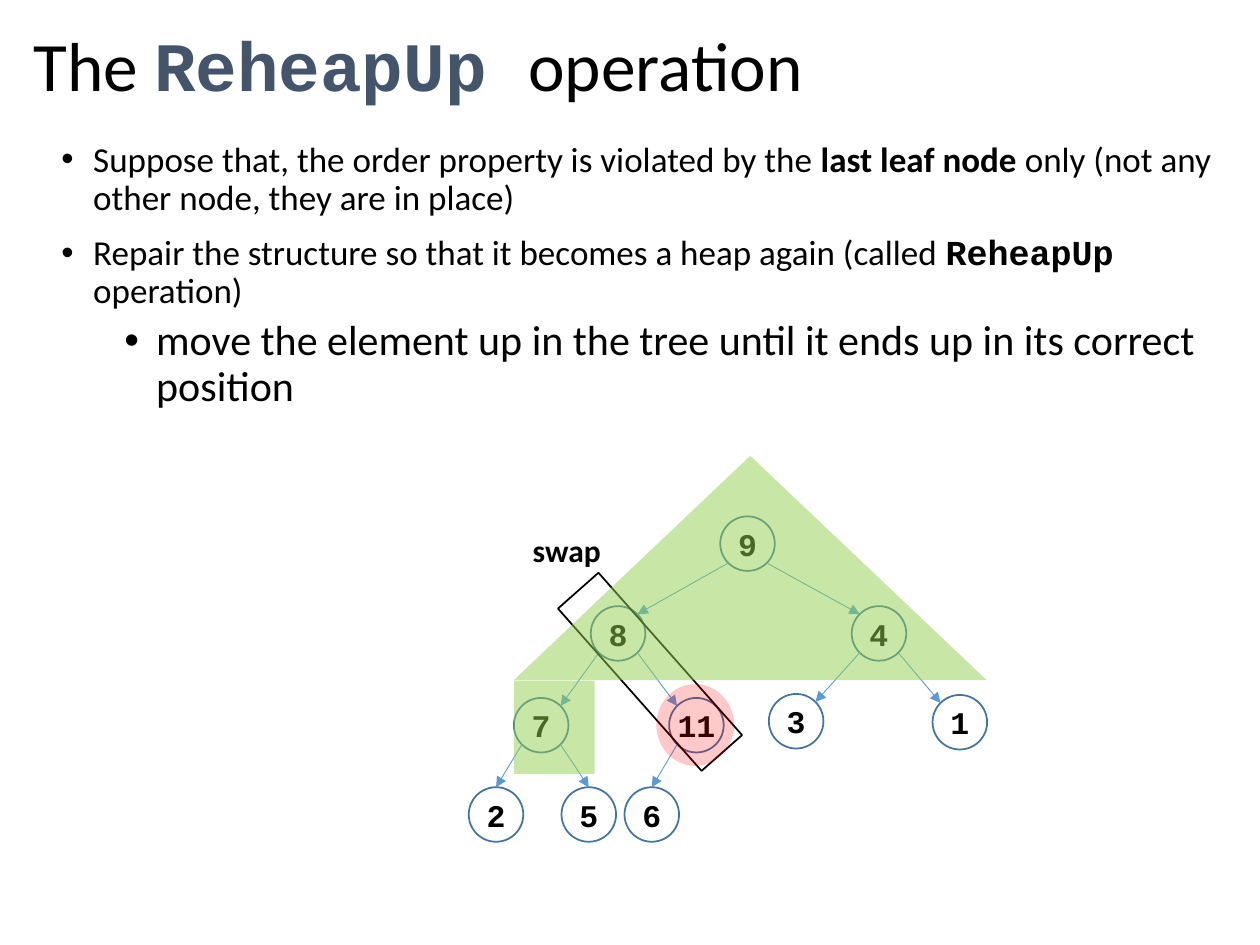
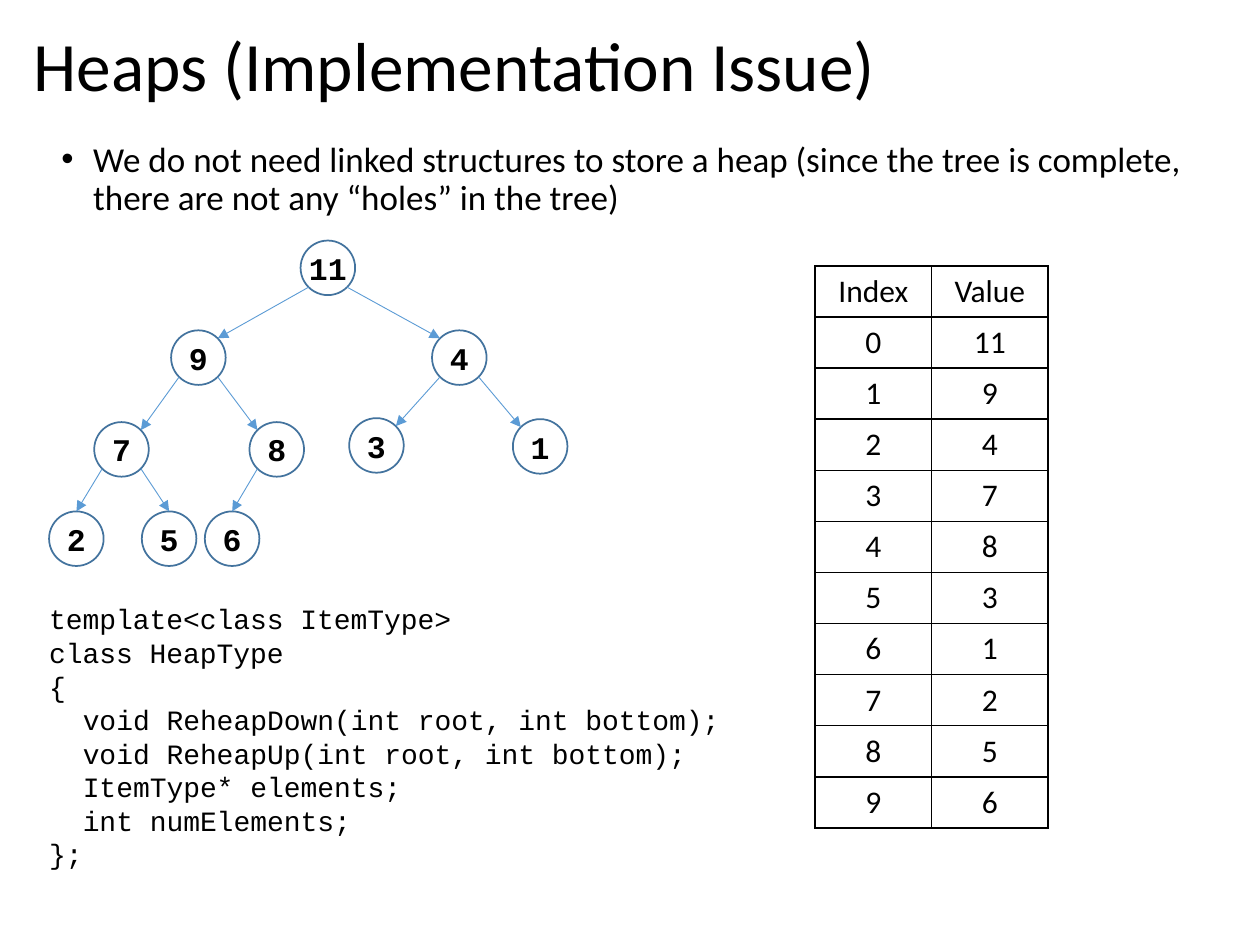
import lxml.etree
import pptx
import pptx.dml.color
import pptx.enum.shapes
import pptx.enum.text
import pptx.oxml.ns
import pptx.util

Cm = pptx.util.Cm
Pt = pptx.util.Pt
qn = pptx.oxml.ns.qn
SHAPE = pptx.enum.shapes.MSO_SHAPE
ALIGN = pptx.enum.text.PP_ALIGN
ANCHOR = pptx.enum.text.MSO_ANCHOR

COLORS = {
    "text": "000000",
    "keyword": "44546A",
    "node": "43739E",
    "edge": "5B9BD5",
    "ordered": "92D050",
    "violation": "FF0000",
}
SANS, MONO = "Calibri", "Courier New"
TITLE_BOX = (0.43, 0.46, 24.43, 1.88)
BODY_BOX = (0.99, 2.74, 23.88, 5.94)
NODE_SIZE = 1.1
NODE_INSET = 0.16
NODE_SPOTS = [
    (5.07, 0),
    (2.46, 1.81), (7.72, 1.81),
    (0.91, 3.66), (4.04, 3.66), (6.05, 3.58), (9.35, 3.6),
    (0, 5.46), (1.87, 5.46), (3.14, 5.46),
]
FIRST_BOTTOM_NODE = 7


def rgb(color):
    return pptx.dml.color.RGBColor.from_string(COLORS[color])


def lengths(*values):
    return [Cm(value) for value in values]


def within(box, left, top, width, height):
    return lengths(box[0] + left, box[1] + top, width, height)


def add_run(paragraph, text, size, font=SANS, bold=False, color="text"):
    run = paragraph.add_run()
    run.text = text
    run.font.size = Pt(size)
    run.font.name = font
    run.font.bold = bold
    run.font.color.rgb = rgb(color)


def add_text_frame(slide, place, anchor=ANCHOR.TOP):
    frame = slide.shapes.add_textbox(*place).text_frame
    frame.word_wrap = True
    frame.vertical_anchor = anchor
    return frame


def next_paragraph(frame, index):
    return frame.add_paragraph() if index else frame.paragraphs[0]


def indent(paragraph, left, first=0):
    properties = paragraph._p.get_or_add_pPr()
    properties.set("marL", str(Cm(left)))
    properties.set("indent", str(Cm(first)))
    return properties


def add_title(slide, box, runs):
    frame = add_text_frame(slide, lengths(*box), ANCHOR.MIDDLE)
    title = frame.paragraphs[0]
    title.line_spacing = 0.9
    for text, style in runs:
        add_run(title, text, 39.6, **style)


def add_body(slide, box, points):
    frame = add_text_frame(slide, lengths(*box))
    for index, (level, runs) in enumerate(points):
        point = next_paragraph(frame, index)
        point.level = level
        point.line_spacing = 0.9
        point.space_before = Pt(5 if level else 10)
        properties = indent(point, 0.64 + 1.27 * level, -0.64)
        lxml.etree.SubElement(properties, qn("a:buFont")).set("typeface", "Arial")
        lxml.etree.SubElement(properties, qn("a:buChar")).set("char", "•")
        for text, style in runs:
            add_run(point, text, 24 if level else 20, **style)


def add_node(tree, place, key):
    node = tree.shapes.add_shape(SHAPE.OVAL, *place)
    node.shadow.inherit = False
    node.fill.background()
    node.line.color.rgb = rgb("node")
    node.line.width = Pt(1)
    frame = node.text_frame
    frame.margin_left = frame.margin_right = frame.margin_top = frame.margin_bottom = 0
    frame.vertical_anchor = ANCHOR.MIDDLE
    frame.paragraphs[0].alignment = ALIGN.CENTER
    add_run(frame.paragraphs[0], str(key), 18, MONO, True)


def add_edge(tree, box, child):
    parent_left, parent_top = NODE_SPOTS[(child - 1) // 2]
    child_left, child_top = NODE_SPOTS[child]
    near, far = NODE_INSET, NODE_SIZE - NODE_INSET
    is_left = child % 2 == 1
    start = (parent_left + (near if is_left else far), parent_top + far)
    if child >= FIRST_BOTTOM_NODE:
        end = (child_left + NODE_SIZE / 2, child_top)
    else:
        end = (child_left + (far if is_left else near), child_top + near)
    edge = tree.shapes.add_connector(
        pptx.enum.shapes.MSO_CONNECTOR.STRAIGHT,
        *within(box, *start, 0, 0)[:2], *within(box, *end, 0, 0)[:2])
    edge.line.color.rgb = rgb("edge")
    edge.line.width = Pt(0.5)
    outline = edge.line._get_or_add_ln()
    lxml.etree.SubElement(outline, qn("a:tailEnd")).set("type", "triangle")
    lxml.etree.SubElement(edge.element.spPr, qn("a:effectLst"))


def add_heap_tree(slide, box, keys):
    tree = slide.shapes.add_group_shape()
    for key, (left, top) in zip(keys, NODE_SPOTS):
        add_node(tree, within(box, left, top, NODE_SIZE, NODE_SIZE), key)
    for child in range(1, len(keys)):
        add_edge(tree, box, child)


def add_swap_mark(slide, box):
    swap = slide.shapes.add_shape(SHAPE.RECTANGLE, *within(box, 1.47, 2.59, 4.37, 1.09))
    swap.rotation = 48.5
    swap.shadow.inherit = False
    swap.fill.background()
    swap.line.color.rgb = rgb("text")
    swap.line.width = Pt(1)
    label = add_text_frame(slide, within(box, 0.58, 0.18, 2.79, 1.02)).paragraphs[0]
    label.alignment = ALIGN.CENTER
    add_run(label, "swap", 18, bold=True)


def add_highlights(slide, box):
    for outline, place, color, opacity in [
        (SHAPE.OVAL, (3.78, 3.38, 1.57, 1.65), "violation", 21),
        (SHAPE.FLOWCHART_PROCESS, (0.91, 3.31, 1.63, 1.88), "ordered", 50),
        (SHAPE.ISOSCELES_TRIANGLE, (0.91, -1.22, 9.53, 4.52), "ordered", 50),
    ]:
        area = slide.shapes.add_shape(outline, *within(box, *place))
        area.shadow.inherit = False
        area.line.fill.background()
        area.fill.solid()
        area.fill.fore_color.rgb = rgb(color)
        shade = area.element.spPr.find(qn("a:solidFill")).find(qn("a:srgbClr"))
        lxml.etree.SubElement(shade, qn("a:alpha")).set("val", str(opacity * 1000))


def add_code(slide, box, lines):
    frame = add_text_frame(slide, lengths(*box))
    for index, (depth, text) in enumerate(lines):
        line = next_paragraph(frame, index)
        indent(line, 0.68 * depth)
        add_run(line, text, 16, MONO)


def add_cell_borders(cell):
    properties = cell._tc.get_or_add_tcPr()
    for position, side in enumerate(("lnL", "lnR", "lnT", "lnB")):
        border = lxml.etree.Element(qn("a:" + side), w=str(Pt(1)))
        fill = lxml.etree.SubElement(border, qn("a:solidFill"))
        lxml.etree.SubElement(fill, qn("a:srgbClr")).set("val", COLORS["text"])
        properties.insert(position, border)


def add_array_table(slide, box, keys):
    rows = [("Index", "Value"), *enumerate(keys)]
    array = slide.shapes.add_table(len(rows), 2, *lengths(*box)).table
    array.first_row = array.horz_banding = False
    for column in array.columns:
        column.width = Cm(box[2] / 2)
    for row_index, row in enumerate(rows):
        array.rows[row_index].height = Cm(box[3] / len(rows))
        for column_index, value in enumerate(row):
            cell = array.cell(row_index, column_index)
            cell.fill.background()
            cell.vertical_anchor = ANCHOR.MIDDLE
            entry = cell.text_frame.paragraphs[0]
            entry.alignment = ALIGN.CENTER
            add_run(entry, str(value), 18)
            add_cell_borders(cell)


def build_reheap_up(slide):
    tree_box = (9.45, 10.41)
    keyword = {"font": MONO, "bold": True}
    add_title(slide, TITLE_BOX, [
        ("The ", {}),
        ("ReheapUp ", {**keyword, "color": "keyword"}),
        ("operation", {}),
    ])
    add_body(slide, BODY_BOX, [
        (0, [
            ("Suppose that, the order property is violated by the ", {}),
            ("last leaf node", {"bold": True}),
            (" only (not any other node, they are in place)", {}),
        ]),
        (0, [
            ("Repair the structure so that it becomes a heap again (called ", {}),
            ("ReheapUp", keyword),
            (" operation)", {}),
        ]),
        (1, [("move the element up in the tree until it ends up in its correct position", {})]),
    ])
    add_heap_tree(slide, tree_box, [9, 8, 4, 7, 11, 3, 1, 2, 5, 6])
    add_swap_mark(slide, tree_box)
    add_highlights(slide, tree_box)


def build_implementation(slide):
    heap = [11, 9, 4, 7, 8, 3, 1, 2, 5, 6]
    add_title(slide, TITLE_BOX, [("Heaps (Implementation Issue)", {})])
    add_body(slide, BODY_BOX, [
        (0, [("We do not need linked structures to store a heap (since the tree is "
              "complete, there are not any “holes” in the tree)", {})]),
    ])
    add_heap_tree(slide, (0.99, 4.85), heap)
    add_code(slide, (0.74, 12.01, 14.43, 5.74), [
        (0, "template<class ItemType>"),
        (0, "class HeapType"),
        (0, "{"),
        (1, "void ReheapDown(int root, int bottom);"),
        (1, "void ReheapUp(int root, int bottom);"),
        (1, "ItemType* elements;"),
        (1, "int numElements;"),
        (0, "};"),
    ])
    add_array_table(slide, (16.43, 5.36, 4.7, 11.33), heap)


def main():
    deck = pptx.Presentation()
    deck.slide_width, deck.slide_height = lengths(25.4, 19.05)
    blank = deck.slide_layouts[6]
    for build in (build_reheap_up, build_implementation):
        build(deck.slides.add_slide(blank))
    deck.save("out.pptx")


if __name__ == "__main__":
    main()
